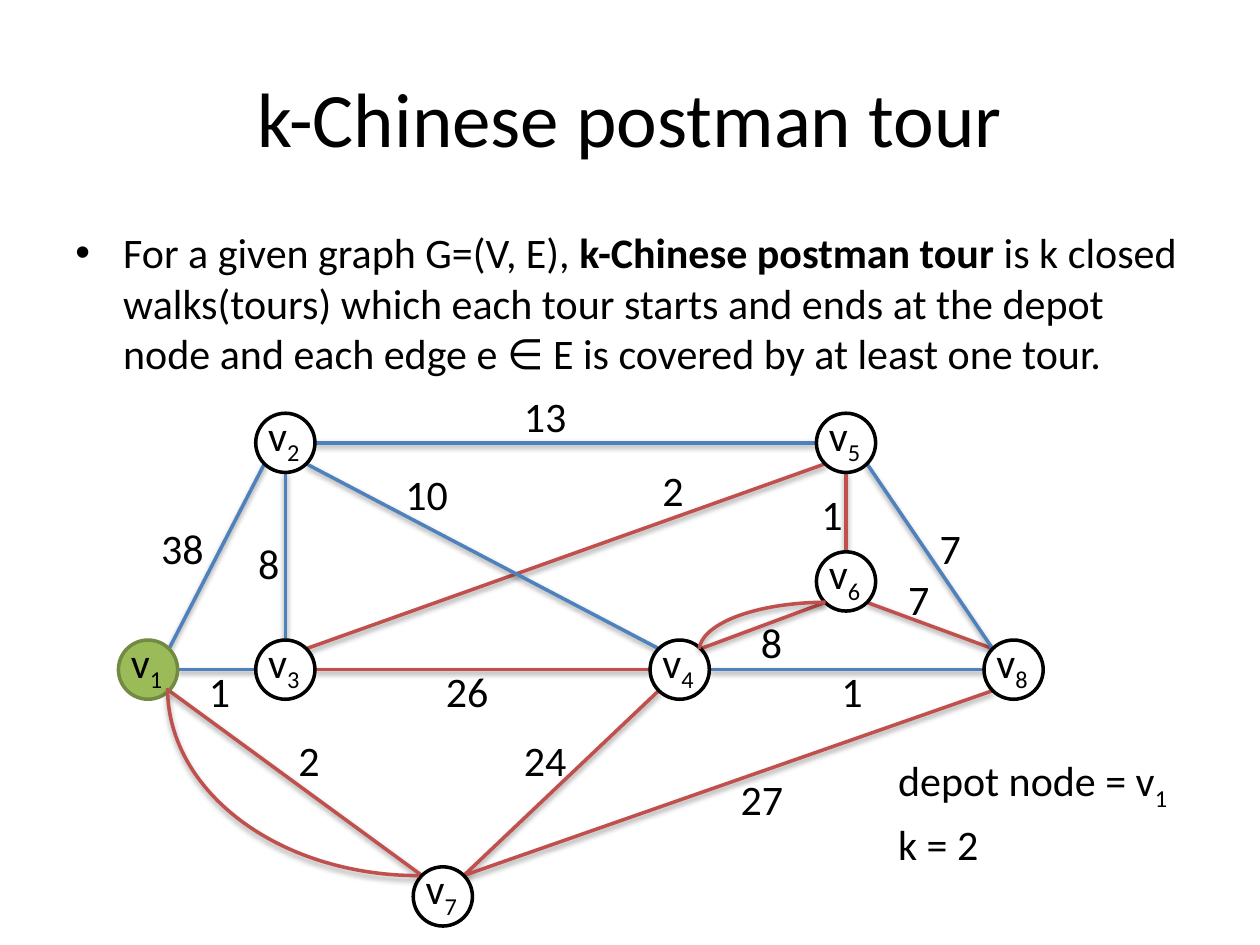
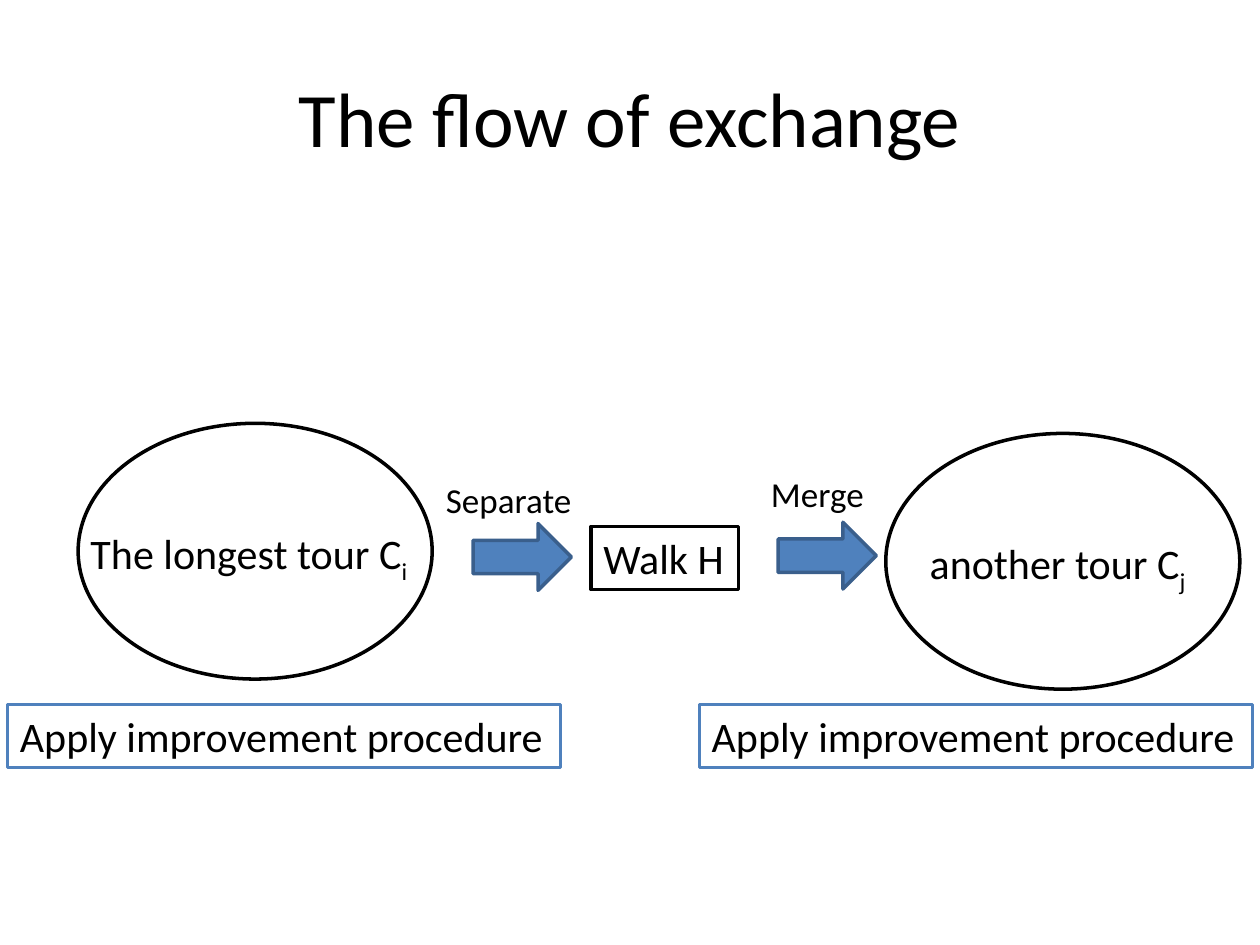
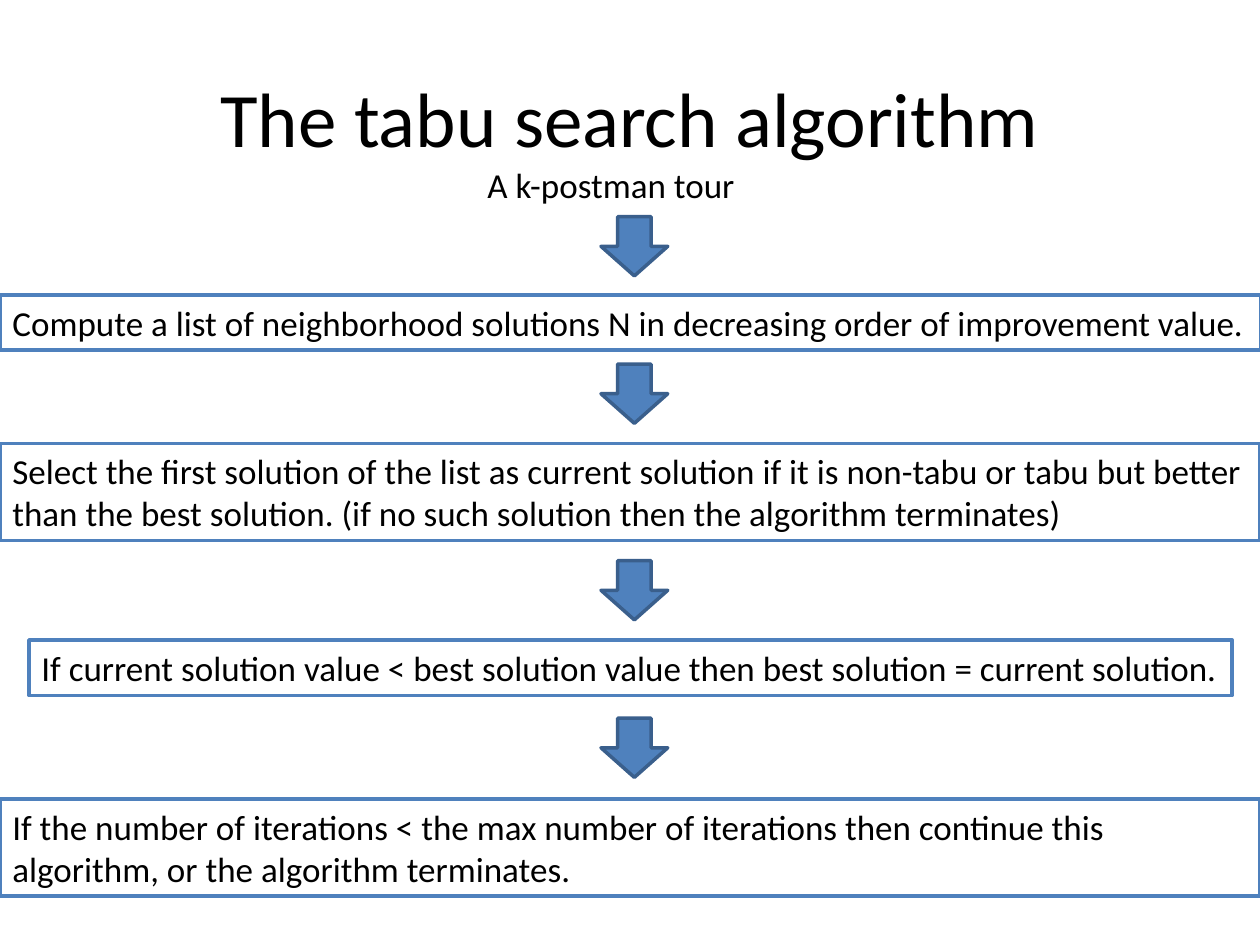
import pptx
import pptx.util
import pptx.oxml.ns
from lxml import etree
from pptx.dml.color import RGBColor
from pptx.enum.shapes import MSO_CONNECTOR, MSO_SHAPE
from pptx.enum.text import MSO_ANCHOR, MSO_AUTO_SIZE, PP_ALIGN
from pptx.util import Inches

FONT = "Calibri"
BLACK = RGBColor(0x00, 0x00, 0x00)
WHITE = RGBColor(0xFF, 0xFF, 0xFF)
BLUE = RGBColor(0x4F, 0x81, 0xBD)
DARK_BLUE = RGBColor(0x3A, 0x5F, 0x8C)
RED = RGBColor(0xC0, 0x50, 0x4D)
GREEN = RGBColor(0x9B, 0xBB, 0x59)
DARK_GREEN = RGBColor(0x73, 0x8A, 0x42)
STROKE = pptx.util.Pt(2)


def draw(slide, preset, box, fill, outline):
    """Add a flat preset shape; box is left, top, width, height in inches."""
    shape = slide.shapes.add_shape(preset, *map(Inches, box))
    shape.shadow.inherit = False
    shape.fill.solid()
    shape.fill.fore_color.rgb = fill
    shape.line.color.rgb = outline
    shape.line.width = STROKE
    return shape


def write(shape, text, size=24, subscript="", wrap=False):
    """Fill a shape with left-aligned text and an optional subscript."""
    frame = shape.text_frame
    frame.word_wrap = wrap
    frame.auto_size = MSO_AUTO_SIZE.SHAPE_TO_FIT_TEXT
    frame.vertical_anchor = MSO_ANCHOR.TOP
    paragraph = frame.paragraphs[0]
    paragraph.alignment = PP_ALIGN.LEFT
    for part in filter(None, (text, subscript)):
        run = paragraph.add_run()
        run.text = part
        run.font.name = FONT
        run.font.size = pptx.util.Pt(size)
        run.font.color.rgb = BLACK
    if subscript:
        run.font._element.set("baseline", "-25000")


deck = pptx.Presentation()
deck.slide_width, deck.slide_height = Inches(10), Inches(7.5)

slides = []
for heading in ("k-Chinese postman tour", "The flow of exchange", "The tabu search algorithm"):
    slide = deck.slides.add_slide(deck.slide_layouts[5])
    title = slide.shapes.title
    title.left, title.top, title.width, title.height = map(Inches, (0.5, 0.3, 9, 1.25))
    title.text_frame.text = heading
    title.text_frame.vertical_anchor = MSO_ANCHOR.MIDDLE
    title.text_frame.paragraphs[0].alignment = PP_ALIGN.CENTER
    font = title.text_frame.paragraphs[0].runs[0].font
    font.name, font.size, font.color.rgb = FONT, pptx.util.Pt(44), BLACK
    slides.append(slide)
tour_slide, exchange_slide, tabu_slide = slides

# Slide 1: definition
definition = tour_slide.shapes.add_textbox(*map(Inches, (0.5, 1.75, 9, 1.37)))
definition.text_frame.word_wrap = True
paragraph = definition.text_frame.paragraphs[0]
paragraph.space_before = pptx.util.Pt(4.8)
for text, bold in (
    ("For a given graph G=(V, E), ", False),
    ("k-Chinese postman tour", True),
    (" is k closed walks(tours) which each tour starts and ends at the depot node "
     "and each edge e ∈ E is covered by at least one tour.", False),
):
    run = paragraph.add_run()
    run.text = text
    run.font.name, run.font.size, run.font.bold = FONT, pptx.util.Pt(24), bold
    run.font.color.rgb = BLACK
properties = paragraph._p.get_or_add_pPr()
properties.set("marL", str(Inches(0.38)))
properties.set("indent", str(Inches(-0.38)))
etree.SubElement(properties, pptx.oxml.ns.qn("a:buFont"), typeface="Arial")
etree.SubElement(properties, pptx.oxml.ns.qn("a:buChar"), char="•")

# Slide 1: graph
DIAMETER = 0.47
RADIUS = DIAMETER / 2
NODES = {  # left and top of each circle
    1: (0.94, 5.08), 2: (2.03, 3.28), 3: (2.03, 5.08), 4: (5.16, 5.08),
    5: (6.48, 3.28), 6: (6.48, 4.38), 7: (3.28, 6.88), 8: (7.81, 5.08),
}
COMPASS = {
    "N": (0, -1), "E": (1, 0), "S": (0, 1), "W": (-1, 0),
    "NE": (0.71, -0.71), "SE": (0.71, 0.71), "SW": (-0.71, 0.71), "NW": (-0.71, -0.71),
}
EDGES = [  # node, side, node, side, colour, weight, left and top of the weight
    (1, "NE", 2, "SW", BLUE, 38, 1.18, 4.1),
    (2, "S", 3, "N", BLUE, 8, 1.95, 4.22),
    (3, "E", 4, "W", RED, 26, 3.44, 5.23),
    (3, "NE", 5, "SW", RED, 2, 5.16, 3.64),
    (2, "E", 5, "W", BLUE, 13, 4.06, 3.05),
    (2, "SE", 4, "NW", BLUE, 10, 3.12, 3.67),
    (5, "S", 6, "N", RED, 1, 6.42, 3.83),
    (6, "SW", 4, "NE", RED, 8, 5.94, 4.84),
    (4, "E", 8, "W", BLUE, 1, 6.58, 5.23),
    (6, "SE", 8, "NW", RED, 7, 7.11, 4.5),
    (5, "SE", 8, "NW", BLUE, 7, 7.36, 4.1),
    (7, "NE", 4, "SW", RED, 24, 4.06, 5.78),
    (1, "SE", 7, "NW", RED, 2, 2.27, 5.78),
    (7, "NE", 8, "SW", RED, 27, 5.78, 6.09),
    (1, "E", 3, "W", BLUE, 1, 1.56, 5.23),
]
for start, start_side, end, end_side, colour, weight, left, top in EDGES:
    ends = []
    for node, side in ((start, start_side), (end, end_side)):
        for corner, direction in zip(NODES[node], COMPASS[side]):
            ends.append(Inches(corner + RADIUS * (1 + direction)))
    edge = tour_slide.shapes.add_connector(MSO_CONNECTOR.STRAIGHT, *ends)
    edge.line.color.rgb = colour
    edge.line.width = STROKE
    width = 0.37 if weight < 10 else 0.54
    write(tour_slide.shapes.add_textbox(*map(Inches, (left, top, width, 0.5))), str(weight))

for node, (left, top) in NODES.items():
    fill, outline = (GREEN, DARK_GREEN) if node == 1 else (WHITE, BLACK)
    draw(tour_slide, MSO_SHAPE.OVAL, (left, top, DIAMETER, DIAMETER), fill, outline)
    label = tour_slide.shapes.add_textbox(*map(Inches, (left, top - 0.08, DIAMETER, 0.5)))
    write(label, "v", subscript=str(node))

for box, angles in (
    ((1.33, 3.98, 3.98, 2.97), (53.84, 108.04)),
    ((5.55, 4.78, 2.03, 0.77), (108.48, 161.01)),
):
    repeated_edge = tour_slide.shapes.add_shape(MSO_SHAPE.ARC, *map(Inches, box))
    repeated_edge.adjustments[0], repeated_edge.adjustments[1] = angles
    repeated_edge.fill.background()
    repeated_edge.line.color.rgb = RED
    repeated_edge.line.width = STROKE

for text, subscript, top, width in (("depot node = v", "1", 5.94, 2.37), ("k = 2", "", 6.45, 0.84)):
    setting = tour_slide.shapes.add_textbox(*map(Inches, (7.03, top, width, 0.5)))
    write(setting, text, subscript=subscript)

# Slide 2: exchange between two tours
for tour_box, name_box, name, index in (
    ((0.62, 3.36, 2.81, 2.03), (0.62, 4.14, 2.83, 0.5), "The longest tour C", "i"),
    ((7.03, 3.44, 2.81, 2.03), (7.28, 4.22, 2.25, 0.5), "another tour C", "j"),
):
    draw(exchange_slide, MSO_SHAPE.OVAL, tour_box, WHITE, BLACK)
    write(exchange_slide.shapes.add_textbox(*map(Inches, name_box)), name, subscript=index)

for arrow_box, step_box, step in (
    ((3.88, 4.03, 0.53, 0.78), (3.44, 3.75, 1.21, 0.44), "Separate"),
    ((6.3, 4.02, 0.53, 0.78), (6.02, 3.7, 0.95, 0.44), "Merge"),
):
    draw(exchange_slide, MSO_SHAPE.DOWN_ARROW, arrow_box, BLUE, DARK_BLUE).rotation = 270
    write(exchange_slide.shapes.add_textbox(*map(Inches, step_box)), step, 20)

for box, outline, text in (
    ((4.69, 4.18, 1.17, 0.5), BLACK, "Walk H"),
    ((0.06, 5.59, 4.39, 0.5), BLUE, "Apply improvement procedure"),
    ((5.55, 5.59, 4.39, 0.5), BLUE, "Apply improvement procedure"),
):
    write(draw(exchange_slide, MSO_SHAPE.RECTANGLE, box, WHITE, outline), text)

# Slide 3: steps of the search, each below its arrow
write(tabu_slide.shapes.add_textbox(*map(Inches, (3.77, 1.25, 2.26, 0.44))), "A k-postman tour", 20)
for arrow_top, box, step in (
    (1.72, (0, 2.34, 10.01, 0.44),
     "Compute a list of neighborhood solutions N in decreasing order of improvement value."),
    (2.89, (0, 3.52, 10, 0.77),
     "Select the first solution of the list as current solution if it is non-tabu or tabu but "
     "better than the best solution. (if no such solution then the algorithm terminates)"),
    (4.45, (0.23, 5.08, 9.55, 0.44),
     "If current solution value < best solution value then best solution = current solution."),
    (5.7, (0, 6.34, 10, 0.77),
     "If the number of iterations < the max number of iterations then continue this algorithm, "
     "or the algorithm terminates."),
):
    draw(tabu_slide, MSO_SHAPE.DOWN_ARROW, (4.77, arrow_top, 0.53, 0.47), BLUE, DARK_BLUE)
    write(draw(tabu_slide, MSO_SHAPE.RECTANGLE, box, WHITE, BLUE), step, 20, wrap=True)

deck.save("out.pptx")
